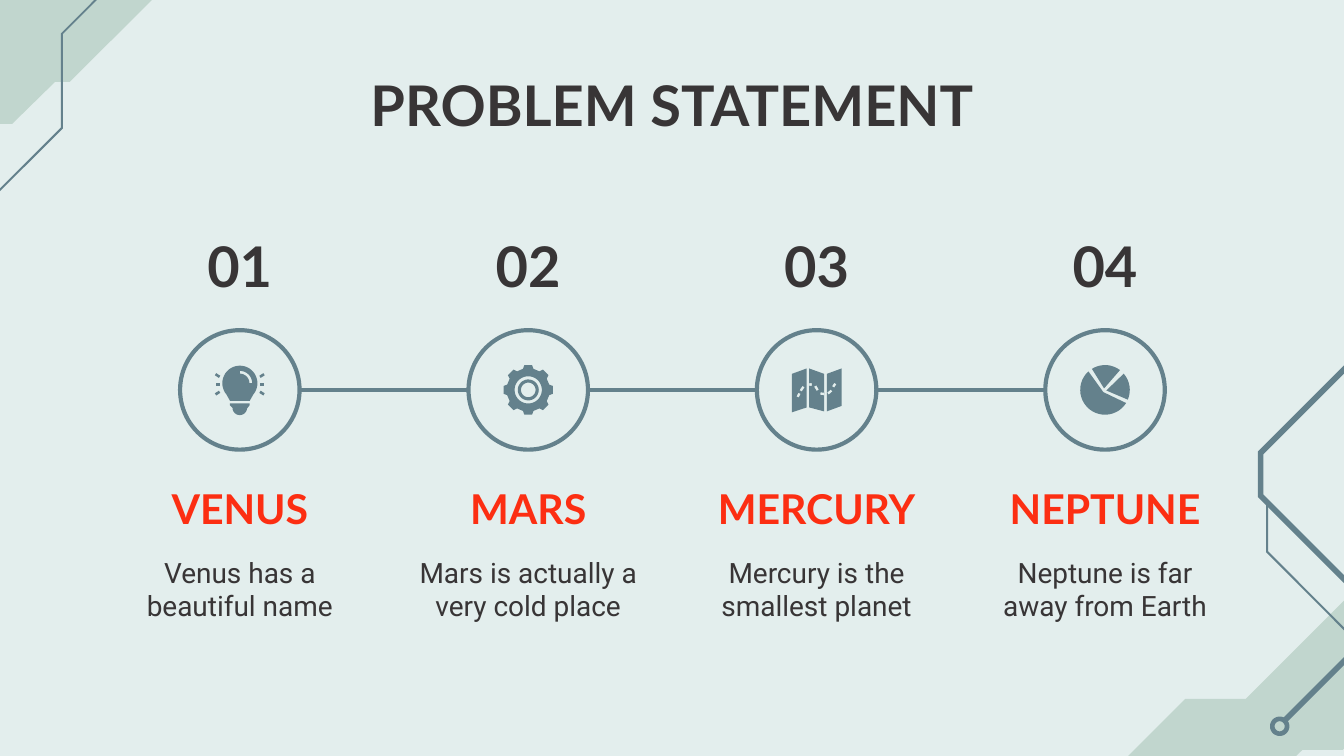
from dataclasses import dataclass
from math import cos, hypot, radians, sin

from lxml.etree import SubElement
from pptx import Presentation
from pptx.dml.color import RGBColor
from pptx.enum.shapes import MSO_CONNECTOR, MSO_SHAPE
from pptx.enum.text import MSO_ANCHOR, PP_ALIGN
from pptx.oxml.ns import qn
from pptx.util import Pt

MIST = RGBColor(0xE3, 0xEE, 0xED)
SAGE = RGBColor(0xC1, 0xD6, 0xCE)
SLATE = RGBColor(0x64, 0x81, 0x8C)
INK = RGBColor(0x38, 0x35, 0x36)
RED = RGBColor(0xFC, 0x2E, 0x12)

WIDTH, HEIGHT = 720, 405
FIRST, STEP = 128.5, 154.5  # first stage centre and the gap to the next
MID = 208.9  # height of the stage row
DISC = 64
COLUMN = 143.3

Point = tuple[float, float]
Path = list[Point]
Part = list[Path]  # an outline followed by its holes


@dataclass
class Stage:
    name: str
    text: str
    icon: list[Part]


@dataclass
class Patch:
    color: RGBColor
    outline: Path


# Outline helpers
def arc(x: float, y: float, r: float, start: float = 0, end: float = 360) -> Path:
    """Points on an arc, clockwise in degrees from the right."""
    count = max(8, round(abs(end - start) / 8))
    turns = [radians(start + (end - start) * i / count) for i in range(count + 1)]
    return [(x + r * cos(t), y + r * sin(t)) for t in turns]


def dash(x1: float, y1: float, x2: float, y2: float, half: float = 0.7) -> Path:
    """A short thick stroke as a four-sided outline."""
    size = hypot(x2 - x1, y2 - y1)
    dx, dy = (x2 - x1) / size * half, (y2 - y1) / size * half
    return [(x1 - dy, y1 + dx), (x2 - dy, y2 + dx), (x2 + dy, y2 - dx), (x1 + dy, y1 - dx)]


# Icons, drawn around (0, 0)
def bulb() -> list[Part]:
    glass = arc(0, -3.6, 9.4, 140, 400) + [(5.3, 5.8), (-5.3, 5.8)]
    glare = arc(0, -3.6, 6.6, -90, 0) + arc(0, -3.6, 5.1, 0, -90)
    base = [(-5.3, 7.2), (5.3, 7.2), (5.3, 8.2), (4, 9.8)]
    base += arc(0, 9.6, 3.9, 0, 180) + [(-5.3, 8.2)]
    rays = [[dash(side * 13, y1, side * 10.8, y2)]
            for side in (-1, 1) for y1, y2 in ((-8.4, -7), (-2.9, -2.9), (2.4, 1))]
    return [[base], [glass, glare]] + rays


def gear() -> list[Part]:
    teeth = [(r * cos(radians(a + turn)), r * sin(radians(a + turn)))
             for a in range(0, 360, 45)
             for turn, r in ((-9, 13.4), (9, 13.4), (14, 11.6), (31, 11.6))]
    return [[teeth, arc(0, 0, 7.3)], [arc(0, 0, 5.6), arc(0, 0, 3.9)]]


def chart() -> list[Part]:
    return [[[(-0.9, 1.2)] + arc(0, 0, 13.3, 32, 228)],
            [[(-0.5, -0.8)] + arc(0, 0, 13.3, 238, 307)],
            [[(0.7, 0.3)] + arc(0, 0, 13.3, -41, 23)]]


def map_icon() -> list[Part]:
    return [
        [[(-13.3, -8.6), (-5.4, -11.5), (-5.4, 9.4), (-13.3, 12)],
         dash(-10.2, 3.8, -9.2, 1.8), dash(-8.6, 0.5, -7, -1.8)],
        [[(-4, -11.5), (4, -8.6), (4, 11.5), (-4, 9.4)],
         dash(-4, -2.9, -2.6, -2.9), dash(-0.8, -2.1, 0.6, 0.2), dash(2, 2, 4, 2.2)],
        [[(5.4, -8.6), (13.3, -11.5), (13.3, 8.6), (5.4, 11.5)],
         dash(6, 2, 8, 0.3), dash(8.8, -1.6, 10, -3.4)],
    ]


# Drawing helpers
def write(slide, text: str, x: float, y: float, w: float, h: float, *, size: float,
          font: str = "Lato", color: RGBColor = INK, bold: bool = True,
          anchor: MSO_ANCHOR = MSO_ANCHOR.MIDDLE) -> None:
    frame = slide.shapes.add_textbox(Pt(x), Pt(y), Pt(w), Pt(h)).text_frame
    frame.word_wrap = True
    frame.vertical_anchor = anchor
    frame.margin_left = frame.margin_right = Pt(7.2)
    frame.margin_top = frame.margin_bottom = Pt(7.2)
    line = frame.paragraphs[0]
    line.text = text
    line.alignment = PP_ALIGN.CENTER
    line.font.name, line.font.size = font, Pt(size)
    line.font.bold, line.font.color.rgb = bold, color


def draw(slide, part: Part, color: RGBColor, x: float = 0, y: float = 0) -> None:
    spots = [[(Pt(x + px), Pt(y + py)) for px, py in path] for path in part]
    pen = slide.shapes.build_freeform(*spots[0][0])
    for i, path in enumerate(spots):
        if i:
            pen.move_to(*path[0])
        pen.add_line_segments(path[1:])
    shape = pen.convert_to_shape()
    shape.shadow.inherit = False
    shape.fill.solid()
    shape.fill.fore_color.rgb = color
    shape.line.fill.background()


def ring(slide, x: float, y: float, size: float) -> None:
    shape = slide.shapes.add_shape(
        MSO_SHAPE.OVAL, Pt(x - size / 2), Pt(y - size / 2), Pt(size), Pt(size))
    shape.shadow.inherit = False
    shape.fill.background()
    shape.line.color.rgb, shape.line.width = SLATE, Pt(2.25)


def link(slide, x1: float, x2: float, y: float) -> None:
    line = slide.shapes.add_connector(MSO_CONNECTOR.STRAIGHT, Pt(x1), Pt(y), Pt(x2), Pt(y))
    line.line.color.rgb, line.line.width = SLATE, Pt(2.25)
    SubElement(line._element.spPr, qn("a:effectLst"))


# Corner ornaments, bleeding over the slide edge
PATCHES = [
    Patch(SAGE, [(85.7, -51.8), (46.8, -13), (11.5, -13), (-67.7, 66.4), (6.5, 66.4),
                 (29.5, 43.9), (37.4, 43.9), (133.2, -51.8)]),
    Patch(SLATE, [(87.1, -36.7), (32.6, 18), (32.6, 68.4), (-8.6, 109.6), (-7.9, 110.3),
                  (33.7, 68.9), (33.7, 18.3), (87.8, -36)]),
    Patch(SAGE, [(739.4, 302.4), (667.4, 374.4), (635, 374.4), (594, 415.4), (594, 434.2),
                 (568.1, 460.1), (638.6, 460.1), (697.7, 401.8), (719.3, 401.8),
                 (761.8, 359.3), (761.8, 347.8), (807.1, 302.4)]),
    Patch(SLATE, [(877, 95), (807.1, 164.9), (751, 164.9), (673.9, 241.9), (673.9, 266.4),
                  (720.7, 313.2), (720.7, 351.4), (686.2, 385.9), (688.3, 388.1),
                  (723.6, 352.8), (723.6, 311.8), (676.8, 265), (676.8, 243.4),
                  (752.4, 167.8), (807.8, 167.8), (879.1, 96.5)]),
    Patch(SLATE, [(678.3, 269.3), (678.3, 295.9), (721.4, 339.1), (722.2, 338.4),
                  (679.4, 295.4), (679.4, 269.3)]),
]
STAGES = [
    Stage("VENUS", "Venus has a beautiful name", bulb()),
    Stage("MARS", "Mars is actually a very cold place", gear()),
    Stage("MERCURY", "Mercury is the smallest planet", map_icon()),
    Stage("NEPTUNE", "Neptune is far away from Earth", chart()),
]


def main() -> None:
    deck = Presentation()
    deck.slide_width, deck.slide_height = Pt(WIDTH), Pt(HEIGHT)
    slide = deck.slides.add_slide(deck.slide_layouts[6])
    slide.background.fill.solid()
    slide.background.fill.fore_color.rgb = MIST

    # Corners
    for patch in PATCHES:
        draw(slide, [patch.outline], patch.color)
    draw(slide, [arc(685.6, 389.1, 5.2), arc(685.6, 389.1, 2.7)], SLATE)

    # Title
    write(slide, "PROBLEM STATEMENT", 56.5, 30.6, 607, 46.8, size=30, anchor=MSO_ANCHOR.TOP)

    # Stages
    for i, stage in enumerate(STAGES):
        x = FIRST + i * STEP
        left = x - COLUMN / 2
        if i:
            link(slide, x - STEP + DISC / 2, x - DISC / 2, MID)
        ring(slide, x, MID, DISC)
        for part in stage.icon:
            draw(slide, part, SLATE, x, MID)
        write(slide, f"{i + 1:02}", x - 60.8, 121.3, 121.6, 41.8, size=30)
        write(slide, stage.name, left, 257.4, COLUMN, 29.5, size=22, color=RED)
        write(slide, stage.text, left, 296, COLUMN, 39, size=15, font="Roboto", bold=False)

    deck.save("out.pptx")


if __name__ == "__main__":
    main()
